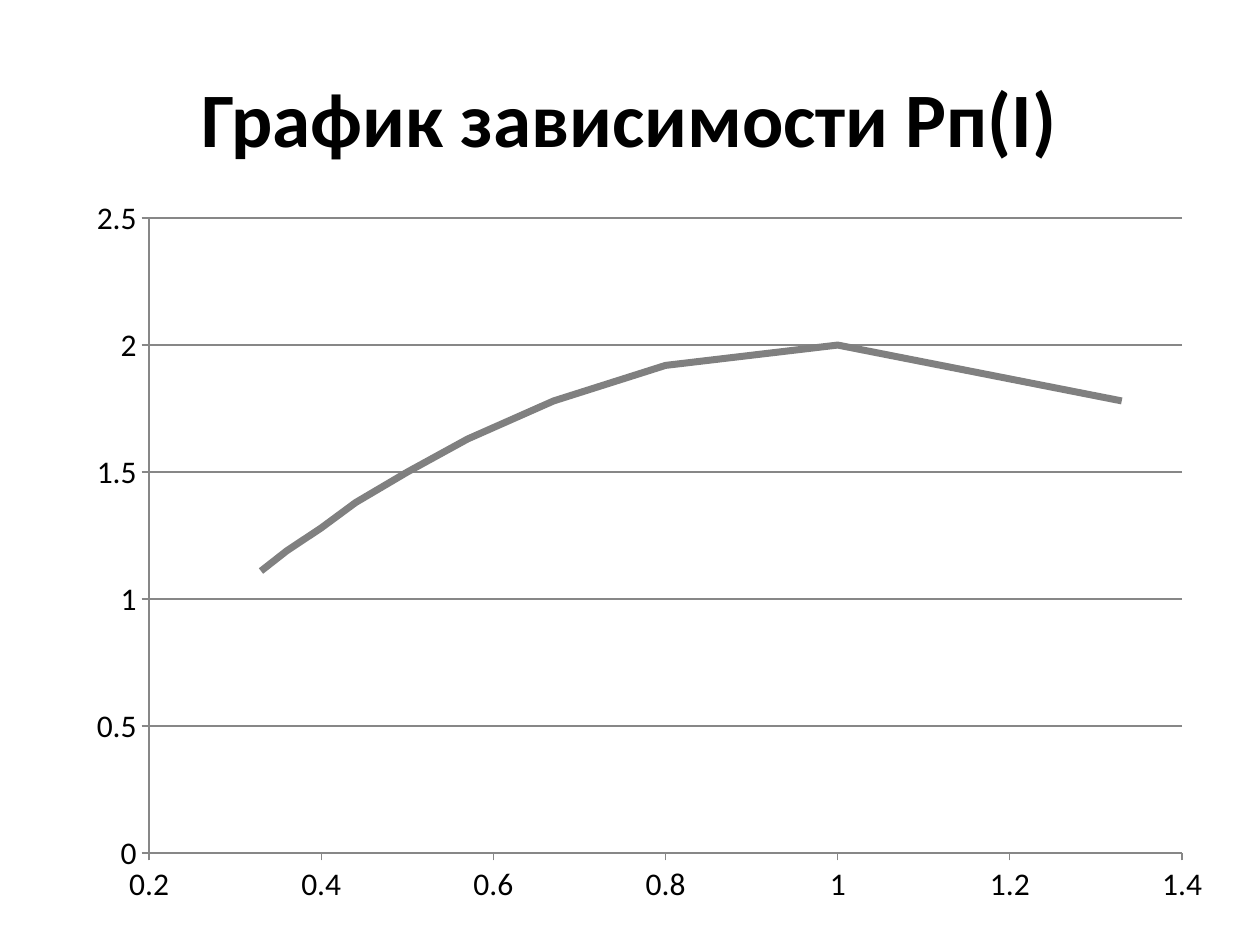
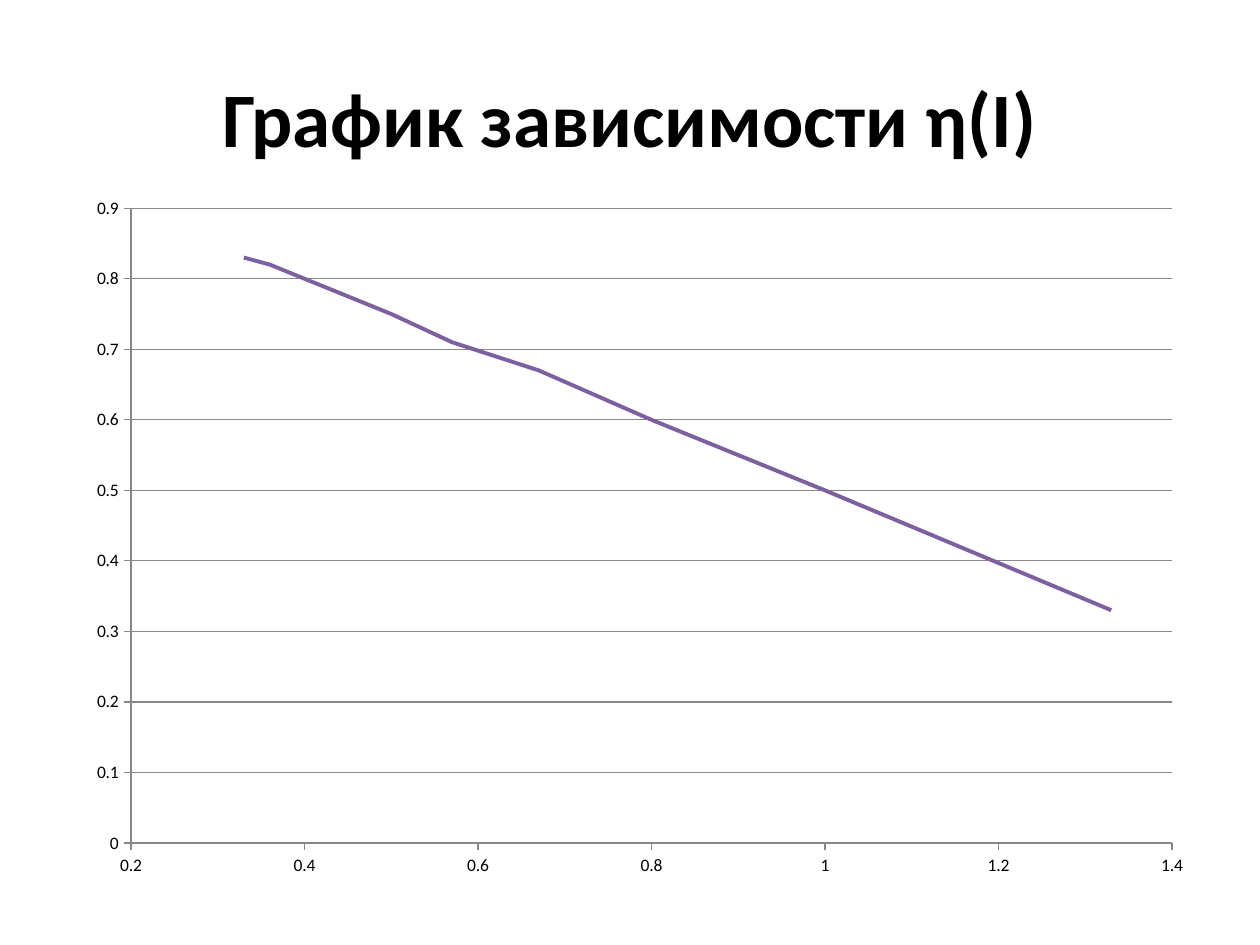
import pptx
import pptx.chart.data
import pptx.dml.color
import pptx.enum.chart
import pptx.enum.text
import pptx.oxml
import pptx.oxml.ns
import pptx.util
from dataclasses import dataclass

Pt = pptx.util.Pt
RGB = pptx.dml.color.RGBColor.from_string


@dataclass(frozen=True)
class Theme:
    font: str = "Calibri"
    text: str = "000000"
    grid: str = "878787"
    power_curve: str = "808080"
    efficiency_curve: str = "7D60A0"
    title_size: float = 44
    power_label_size: float = 18
    efficiency_label_size: float = 10


theme = Theme()


def set_font(font, size, bold=False):
    font.name, font.size, font.bold = theme.font, Pt(size), bold
    font.color.rgb = RGB(theme.text)


def place_plot(chart, frame, plot):
    """Fix the inner plot area; both boxes are left, top, width, height."""
    left, top, width, height = frame
    fractions = {"x": (plot[0] - left) / width, "y": (plot[1] - top) / height,
                 "w": plot[2] / width, "h": plot[3] / height}
    parts = "".join(f'<c:{key}Mode val="edge"/>' for key in "xy")
    parts += "".join(f'<c:{key} val="{value:.4f}"/>' for key, value in fractions.items())
    plot_area = chart.element.find(".//" + pptx.oxml.ns.qn("c:plotArea"))
    for layout in plot_area.findall(pptx.oxml.ns.qn("c:layout")):
        plot_area.remove(layout)
    plot_area.insert(0, pptx.oxml.parse_xml(
        f'<c:layout {pptx.oxml.ns.nsdecls("c")}><c:manualLayout>'
        f'<c:layoutTarget val="inner"/>{parts}</c:manualLayout></c:layout>'))


# Measurements: current falls as the load grows; power and efficiency follow from it
currents = [4 / load for load in range(12, 2, -1)]
powers = [4 * current - 2 * current ** 2 for current in currents]
efficiencies = [1 - current / 2 for current in currents]

graphs = [
    dict(title="График зависимости Pп(I)", values=powers,
         frame=(42.5, 105.8, 657.4, 419.8), plot=(85.2, 124.7, 590.3, 362.8),
         top=2.5, step=0.5, label_size=theme.power_label_size,
         colour=theme.power_curve, weight=4),
    dict(title="График зависимости η(I)", values=efficiencies,
         frame=(42.5, 105.8, 646.6, 402.5), plot=(74.9, 119, 594.9, 362.8),
         top=0.9, step=0.1, label_size=theme.efficiency_label_size,
         colour=theme.efficiency_curve, weight=2.25),
]

presentation = pptx.Presentation()
presentation.slide_width, presentation.slide_height = Pt(720), Pt(540)

for graph in graphs:
    slide = presentation.slides.add_slide(presentation.slide_layouts[6])

    # Title
    heading = slide.shapes.add_textbox(Pt(36), Pt(21.6), Pt(648), Pt(90)).text_frame
    heading.word_wrap = True
    heading.vertical_anchor = pptx.enum.text.MSO_ANCHOR.MIDDLE
    heading.text = graph["title"]
    line = heading.paragraphs[0]
    line.alignment = pptx.enum.text.PP_ALIGN.CENTER
    set_font(line.font, theme.title_size, bold=True)

    # Curve
    points = pptx.chart.data.XyChartData()
    series = points.add_series("Series 1")
    for current, value in zip(currents, graph["values"]):
        series.add_data_point(round(current, 2), round(value, 2))
    chart = slide.shapes.add_chart(
        pptx.enum.chart.XL_CHART_TYPE.XY_SCATTER_SMOOTH_NO_MARKERS,
        *map(Pt, graph["frame"]), points).chart
    chart.has_legend = chart.has_title = False
    set_font(chart.font, graph["label_size"])
    chart.plots[0].vary_by_categories = False
    curve = chart.plots[0].series[0]
    curve.smooth = True
    curve.format.line.color.rgb = RGB(graph["colour"])
    curve.format.line.width = Pt(graph["weight"])

    # Axes and gridlines
    scales = [(chart.category_axis, 0.2, 1.4, 0.2),
              (chart.value_axis, 0, graph["top"], graph["step"])]
    for axis, low, high, step in scales:
        axis.minimum_scale, axis.maximum_scale, axis.major_unit = low, high, step
        axis.major_tick_mark = pptx.enum.chart.XL_TICK_MARK.OUTSIDE
        axis.minor_tick_mark = pptx.enum.chart.XL_TICK_MARK.NONE
        axis.tick_labels.number_format = "General"
        axis.tick_labels.number_format_is_linked = False
        axis.format.line.color.rgb = RGB(theme.grid)
        axis.format.line.width = Pt(0.75)
    chart.category_axis.has_major_gridlines = False
    chart.value_axis.has_major_gridlines = True
    gridline = chart.value_axis.major_gridlines.format.line
    gridline.color.rgb = RGB(theme.grid)
    gridline.width = Pt(0.75)
    place_plot(chart, graph["frame"], graph["plot"])

presentation.save("out.pptx")
